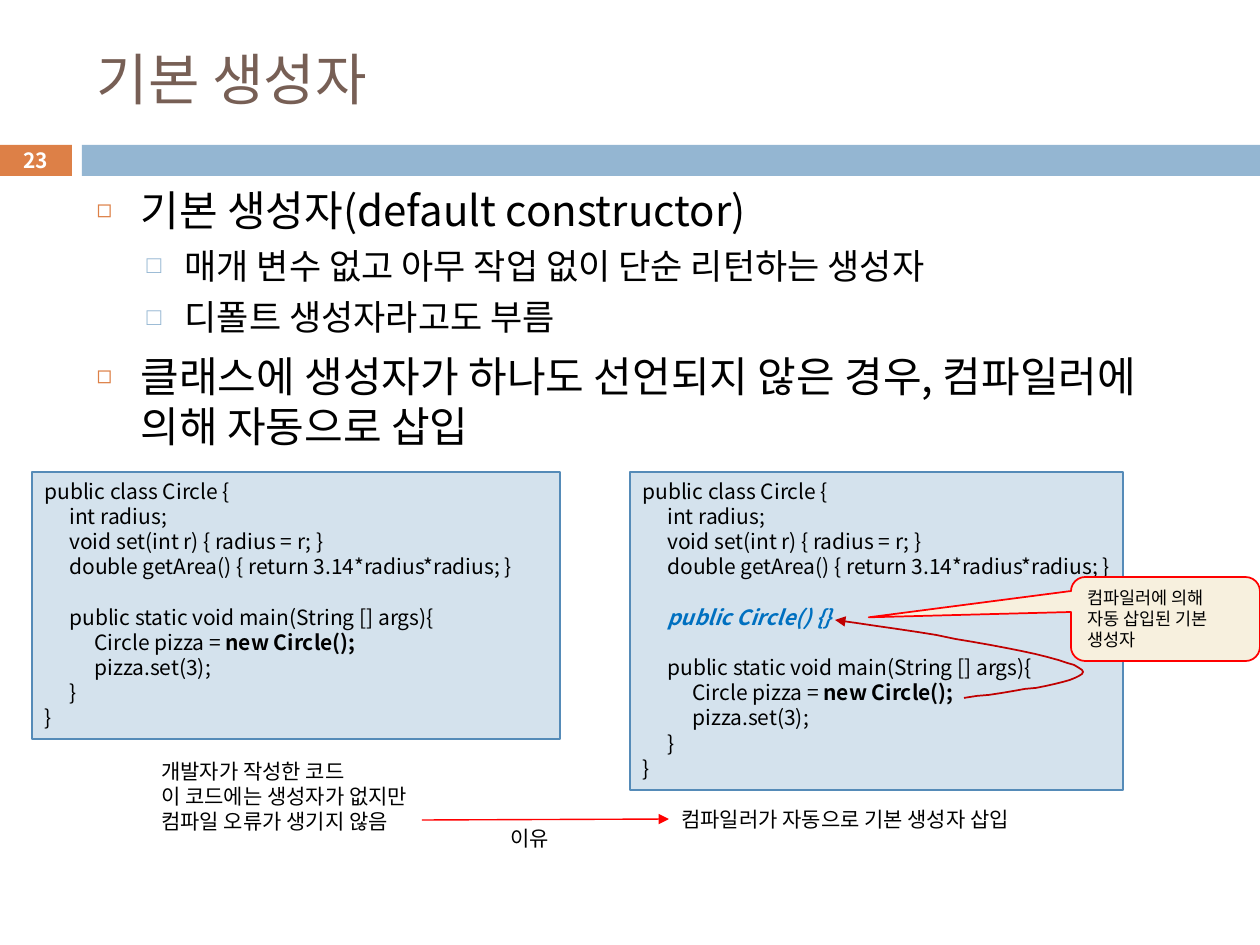
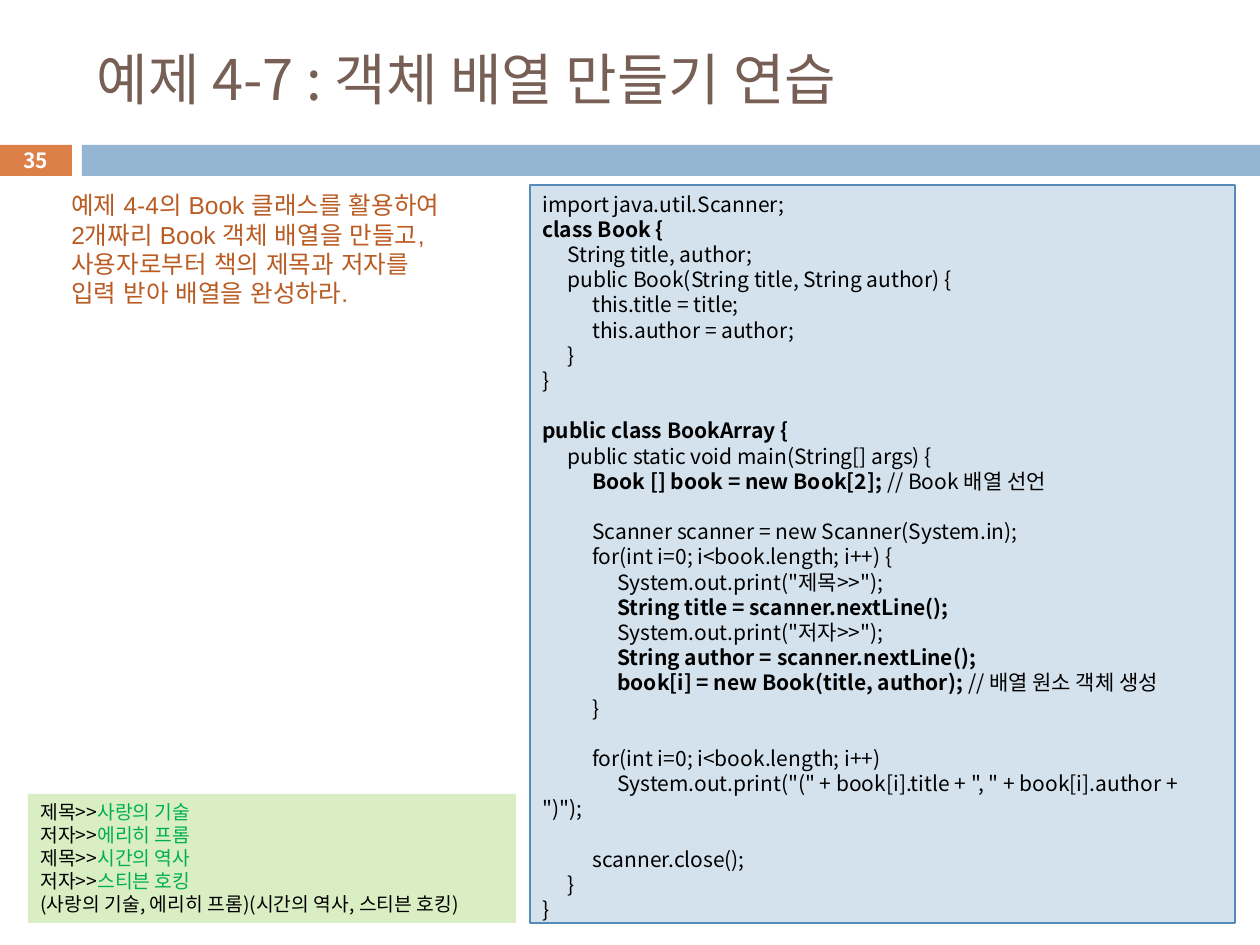
from lxml import etree
from pptx import Presentation
from pptx import util as u
from pptx.dml.color import RGBColor
from pptx.enum import shapes, text
from pptx.oxml.ns import qn

PX = 914400 / 126
SLIDE_WIDTH, SLIDE_HEIGHT = 1260, 945
FONT = "Noto Sans CJK KR"
LINE_PITCH = 1.2
TAB = 25

BLACK, WHITE, RED, DARK_RED = "000000", "FFFFFF", "FF0000", "C00000"
TITLE_BROWN, ORANGE, BAND_BLUE = "775F55", "DD8047", "94B6D2"
CODE_FILL, CODE_LINE = "D4E2ED", "558BB8"
CALLOUT_FILL, CONSOLE_FILL = "F7F0DE", "DAEEC4"
INSERTED_BLUE, INPUT_GREEN, TASK_BROWN = "0070C0", "00B050", "B95B22"

# Per level: size, space before, left indent, hanging, bullet, bullet colour, bullet percent
BULLET_LEVELS = [
    (24, 7, 44, 44, "◻", ORANGE, 60),
    (20, 5.5, 88, 38, "□", BAND_BLUE, 70),
]

BODY = [
    (0, "기본 생성자(default constructor)"),
    (1, "매개 변수 없고 아무 작업 없이 단순 리턴하는 생성자"),
    (1, "디폴트 생성자라고도 부름"),
    (0, "클래스에 생성자가 하나도 선언되지 않은 경우, 컴파일러에 의해 자동으로 삽입"),
]

CIRCLE_FIELDS = """public class Circle {
    int radius;
    void set(int r) { radius = r; }
    double getArea() { return 3.14*radius*radius; }
"""
CIRCLE_CONSTRUCTOR = """
    **public Circle() {}**
"""
CIRCLE_MAIN = """
    public static void main(String [] args){
        Circle pizza = **new Circle();**
        pizza.set(3);
    }
}"""

BOOK_CLASS = """import java.util.Scanner;
**class Book {**
    String title, author;
    public Book(String title, String author) {
        this.title = title;
        this.author = author;
    }
}
"""
BOOK_INPUT = """
**public class BookArray {**
    public static void main(String[] args) {
        **Book [] book = new Book[2]; **// Book 배열 선언

        Scanner scanner = new Scanner(System.in);
        for(int i=0; i<book.length; i++) {
            System.out.print("제목>>");
            **String title = scanner.nextLine();**
            System.out.print("저자>>");
            **String author = scanner.nextLine();**
            **book[i] = new Book(title, author); **// 배열 원소 객체 생성
        }
"""
BOOK_OUTPUT = """
        for(int i=0; i<book.length; i++)
            System.out.print("(" + book[i].title + ", " + book[i].author + ")");

        scanner.close();
    }
}"""

CONSOLE = """제목>>**사랑의 기술**
저자>>**에리히 프롬**
제목>>**시간의 역사**
저자>>**스티븐 호킹**
(사랑의 기술, 에리히 프롬)(시간의 역사, 스티븐 호킹)"""

TASK = """예제 4-4의 Book 클래스를 활용하여
2개짜리 Book 객체 배열을 만들고,
사용자로부터 책의 제목과 저자를
입력 받아 배열을 완성하라."""


def px(length):
    return u.Emu(round(length * PX))


def rgb(color):
    return RGBColor.from_string(color)


def add_xml(parent, tag, **attributes):
    return etree.SubElement(parent, qn(tag), attributes)


def place(shape, box):
    shape.left, shape.top, shape.width, shape.height = map(px, box)


def format_run(run, size, color, bold=False, italic=False, font=FONT):
    run.font.size = u.Pt(size)
    run.font.bold = bold
    run.font.italic = italic
    run.font.color.rgb = rgb(color)
    run.font.name = font
    add_xml(run.font._element, "a:ea", typeface=font)


def set_spacing(paragraph, size, before=0):
    paragraph.line_spacing = u.Pt(round(size * LINE_PITCH, 1))
    paragraph.space_before = u.Pt(before)
    paragraph.space_after = u.Pt(0)


def add_tab_stops(paragraph):
    tabs = add_xml(paragraph._p.get_or_add_pPr(), "a:tabLst")
    for stop in range(1, 4):
        add_xml(tabs, "a:tab", pos=str(px(stop * TAB)), algn="l")


def write(shape, content, size, color=BLACK, emphasis=None, font=FONT,
          align=text.PP_ALIGN.LEFT, anchor=text.MSO_ANCHOR.TOP):
    """Fill a shape line by line; ** marks emphasis, an empty line becomes space before."""
    frame = shape.text_frame
    frame.word_wrap = True
    frame.auto_size = text.MSO_AUTO_SIZE.NONE
    frame.vertical_anchor = anchor
    paragraph, before = frame.paragraphs[0], 0
    for index, line in enumerate(content.split("\n")):
        if not line:
            before = round(size * LINE_PITCH, 1)
            continue
        if index:
            paragraph = frame.add_paragraph()
        paragraph.alignment = align
        set_spacing(paragraph, size, before)
        before = 0
        code = line.lstrip(" ")
        depth = (len(line) - len(code)) // 4
        if depth:
            add_tab_stops(paragraph)
        for part, words in enumerate(("\t" * depth + code).split("**")):
            if words:
                run = paragraph.add_run()
                run.text = words
                style = {"color": color, "font": font}
                if part % 2:
                    style.update(emphasis or {"bold": True})
                format_run(run, size, **style)


def add_panel(slide, box, fill, line=None, width=0.75, kind=shapes.MSO_SHAPE.RECTANGLE):
    panel = slide.shapes.add_shape(kind, *map(px, box))
    panel.shadow.inherit = False
    panel.fill.solid()
    panel.fill.fore_color.rgb = rgb(fill)
    if line:
        panel.line.color.rgb = rgb(line)
        panel.line.width = u.Pt(width)
    else:
        panel.line.fill.background()
    return panel


def add_code(slide, box, code, right_margin=12):
    panel = add_panel(slide, box, CODE_FILL, CODE_LINE)
    panel.text_frame.margin_right = px(right_margin)
    write(panel, code, 12)
    return panel


def add_label(slide, box, content, size=12, **style):
    write(slide.shapes.add_textbox(*map(px, box)), content, size, **style)


def add_callout(slide, box, content, adjustments):
    callout = add_panel(slide, box, CALLOUT_FILL, RED, 1,
                        shapes.MSO_SHAPE.ROUNDED_RECTANGULAR_CALLOUT)
    for index, value in enumerate(adjustments):
        callout.adjustments[index] = value
    write(callout, content, 10)


def style_arrow(arrow, color, width):
    arrow.line.color.rgb = rgb(color)
    arrow.line.width = u.Pt(width)
    add_xml(arrow.line._get_or_add_ln(), "a:tailEnd", type="triangle")


def add_arrow(slide, start, end, color, width):
    arrow = slide.shapes.add_connector(shapes.MSO_CONNECTOR.STRAIGHT, *map(px, start + end))
    style_arrow(arrow, color, width)
    add_xml(arrow._element.spPr, "a:effectLst")


def bezier_points(p0, p1, p2, p3, steps=16):
    for step in range(1, steps + 1):
        t = step / steps
        weights = ((1 - t) ** 3, 3 * t * (1 - t) ** 2, 3 * t * t * (1 - t), t ** 3)
        yield tuple(sum(w * p[axis] for w, p in zip(weights, (p0, p1, p2, p3)))
                    for axis in (0, 1))


def add_curved_arrow(slide, start, segments, color, width):
    points, current = [], start
    for segment in segments:
        points += bezier_points(current, *segment)
        current = segment[-1]
    builder = slide.shapes.build_freeform(*start, scale=PX)
    builder.add_line_segments(points, close=False)
    curve = builder.convert_to_shape()
    curve.shadow.inherit = False
    curve.fill.background()
    style_arrow(curve, color, width)


def fill_body(body, items):
    place(body, (84, 178, 1124, 286))
    frame = body.text_frame
    frame.auto_size = text.MSO_AUTO_SIZE.NONE
    for index, (level, words) in enumerate(items):
        size, before, left, hanging, bullet, color, percent = BULLET_LEVELS[level]
        paragraph = frame.add_paragraph() if index else frame.paragraphs[0]
        paragraph.text = words
        paragraph.level = level
        set_spacing(paragraph, size, before if index else 0)
        properties = paragraph._p.get_or_add_pPr()
        properties.set("marL", str(px(left)))
        properties.set("indent", str(-px(hanging)))
        add_xml(add_xml(properties, "a:buClr"), "a:srgbClr", val=color)
        add_xml(properties, "a:buSzPct", val=str(percent * 1000))
        add_xml(properties, "a:buChar", char=bullet)
        format_run(paragraph.runs[0], size, BLACK)


def add_slide(presentation, layout_name, title, number):
    layout = presentation.slide_layouts.get_by_name(layout_name)
    slide = presentation.slides.add_slide(layout)
    add_panel(slide, (-1, 145, 73, 31), ORANGE)
    add_panel(slide, (82, 145, 1178, 31), BAND_BLUE)
    place(slide.shapes.title, (84, 32, 1124, 93))
    write(slide.shapes.title, title, 32, TITLE_BROWN, anchor=text.MSO_ANCHOR.MIDDLE)
    add_label(slide, (-1, 143, 73, 34), f"**{number}**", 12, color=WHITE,
              align=text.PP_ALIGN.CENTER, anchor=text.MSO_ANCHOR.MIDDLE)
    return slide


def build_default_constructor(presentation):
    slide = add_slide(presentation, "Title and Content", "기본 생성자", 23)
    fill_body(slide.placeholders[1], BODY)
    add_code(slide, (32, 472, 528, 267), CIRCLE_FIELDS + CIRCLE_MAIN, right_margin=6)
    generated = add_code(slide, (630, 472, 493, 318),
                         CIRCLE_FIELDS + CIRCLE_CONSTRUCTOR + CIRCLE_MAIN, right_margin=6)
    constructor = generated.text_frame.paragraphs[4].runs[-1]
    constructor.font.italic = True
    constructor.font.color.rgb = rgb(INSERTED_BLUE)

    add_callout(slide, (1071, 577, 189, 84), "컴파일러에 의해\n자동 삽입된 기본 생성자",
                (-1.57, -0.02, 0.17))
    add_label(slide, (149, 752, 302, 89),
              "개발자가 작성한 코드\n이 코드에는 생성자가 없지만\n컴파일 오류가 생기지 않음")
    add_label(slide, (669, 800, 394, 38), "컴파일러가 자동으로 기본 생성자 삽입")
    add_curved_arrow(slide, (964, 698), [
        ((1032, 689), (1100, 680), (1079, 668)),
        ((1057, 654), (946, 636), (835, 620)),
    ], DARK_RED, 1)
    add_arrow(slide, (422, 820), (669, 819), RED, 0.8)
    add_label(slide, (498, 819, 68, 38), "이유")


def build_object_array(presentation):
    slide = add_slide(presentation, "Title Only", "예제 4-7 : 객체 배열 만들기 연습", 35)
    add_label(slide, (59, 184, 456, 131), TASK, 14, color=TASK_BROWN, font="Arial")
    add_code(slide, (530, 185, 705, 738), BOOK_CLASS + BOOK_INPUT + BOOK_OUTPUT)
    console = add_panel(slide, (28, 794, 488, 129), CONSOLE_FILL)
    write(console, CONSOLE, 11, emphasis={"color": INPUT_GREEN})


def main():
    presentation = Presentation()
    presentation.slide_width = px(SLIDE_WIDTH)
    presentation.slide_height = px(SLIDE_HEIGHT)
    build_default_constructor(presentation)
    build_object_array(presentation)
    presentation.save("out.pptx")


if __name__ == "__main__":
    main()
